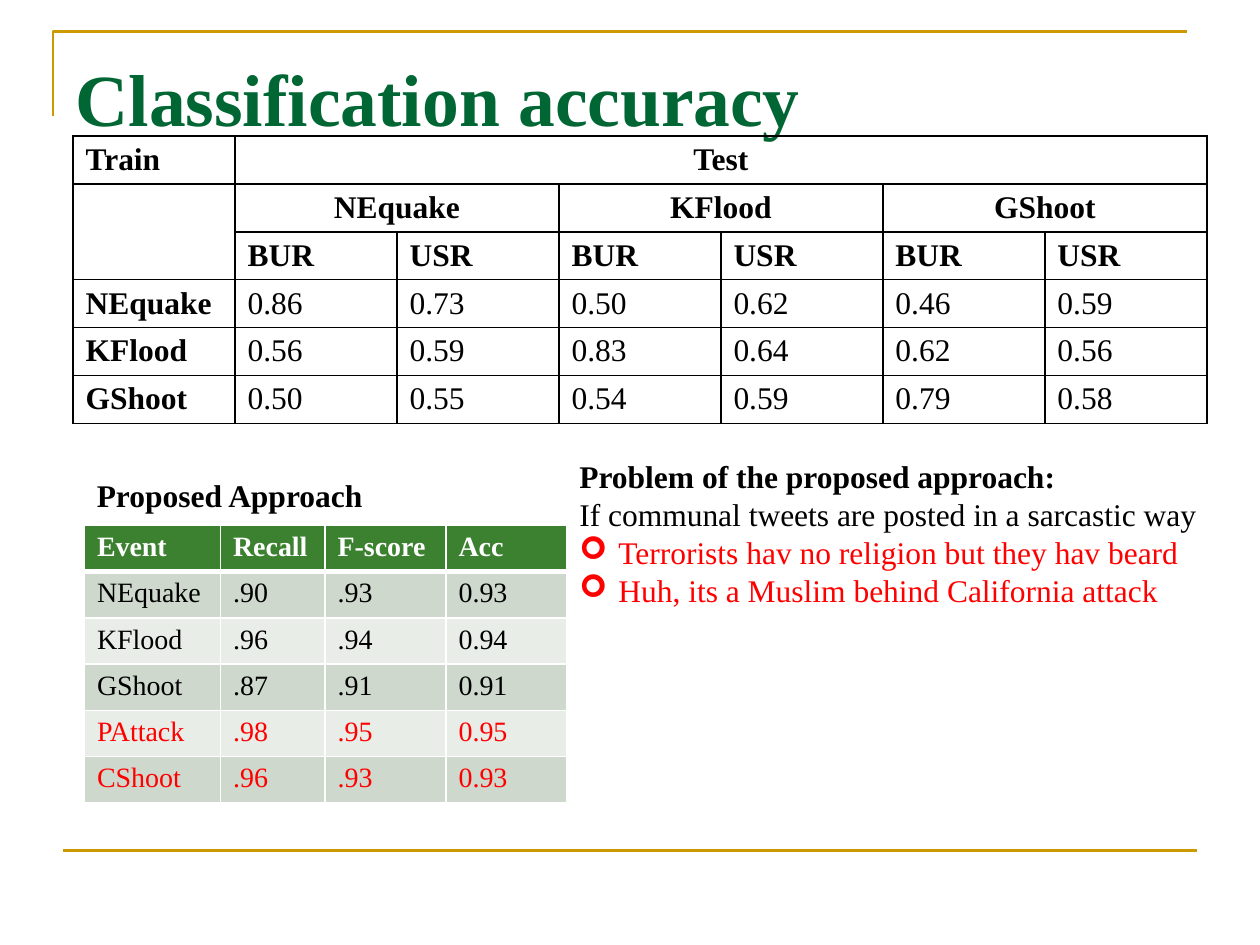
from lxml.etree import SubElement
from pptx import Presentation
from pptx.dml.color import RGBColor
from pptx.enum.shapes import MSO_CONNECTOR as Connector
from pptx.enum.text import MSO_ANCHOR as Anchor, MSO_AUTO_SIZE as AutoSize, PP_ALIGN as Align
from pptx.oxml.ns import qn
from pptx.util import Inches, Pt

FONT = "Times New Roman"
COLORS = {
    "title": "006633", "rule": "CC9900", "text": "000000", "alert": "FF0000",
    "white": "FFFFFF", "header": "3B812F", "odd": "CED8CD", "even": "E8EDE8",
}
TITLE = "Classification accuracy"
EVENTS = ["NEquake", "KFlood", "GShoot"]
METHODS = ["BUR", "USR"]
SCORES = [
    ["0.86", "0.73", "0.50", "0.62", "0.46", "0.59"],
    ["0.56", "0.59", "0.83", "0.64", "0.62", "0.56"],
    ["0.50", "0.55", "0.54", "0.59", "0.79", "0.58"],
]
CAPTION = "Proposed Approach"
RESULTS = [
    ["Event", "Recall", "F-score", "Acc"],
    ["NEquake", ".90", ".93", "0.93"],
    ["KFlood", ".96", ".94", "0.94"],
    ["GShoot", ".87", ".91", "0.91"],
    ["PAttack", ".98", ".95", "0.95"],
    ["CShoot", ".96", ".93", "0.93"],
]
RESULT_WIDTHS = [1.08, 0.83, 0.96, 0.96]
NEW_EVENTS = {"PAttack", "CShoot"}
PROBLEM = [
    ("Problem of the proposed approach:", True, False),
    ("If communal tweets are posted in a sarcastic way", False, False),
    ("Terrorists hav no religion but they hav beard", False, True),
    ("Huh, its a Muslim behind California attack", False, True),
]


def rgb(name):
    return RGBColor.from_string(COLORS[name])


def style(paragraph, size, color="text", bold=False):
    for span in paragraph.runs:
        font = span.font
        font.name, font.size, font.bold = FONT, Pt(size), bold
        font.color.rgb = rgb(color)


def add_bullet(paragraph):
    props = paragraph._p.get_or_add_pPr()
    props.set("marL", str(Inches(0.31)))
    props.set("indent", str(-Inches(0.31)))
    SubElement(props, qn("a:buFont"), typeface="Wingdings")
    SubElement(props, qn("a:buChar"), char="➢")


def set_borders(cell, color, bottom=1):
    props = cell._tc.get_or_add_tcPr()
    widths = [("lnL", 1), ("lnR", 1), ("lnT", 1), ("lnB", bottom)]
    for place, (side, width) in enumerate(widths):
        line = SubElement(props, qn(f"a:{side}"), w=str(Pt(width)))
        fill = SubElement(line, qn("a:solidFill"))
        SubElement(fill, qn("a:srgbClr"), val=COLORS[color])
        props.insert(place, line)


def add_grid(page, left, top, widths, row_height, rows):
    frame = page.shapes.add_table(
        rows, len(widths), Inches(left), Inches(top),
        Inches(sum(widths)), Inches(row_height * rows))
    table = frame.table
    table.horz_banding = False
    for column, width in zip(table.columns, widths):
        column.width = Inches(width)
    return table


def fill_cell(cell, text, size, color="text", bold=False, centered=False):
    paragraph = cell.text_frame.paragraphs[0]
    paragraph.text = text
    if centered:
        paragraph.alignment = Align.CENTER
    style(paragraph, size, color, bold)


def add_accuracy(page):
    span = len(METHODS)
    last = span * len(EVENTS)
    table = add_grid(page, 0.58, 1.08, [9 / (last + 1)] * (last + 1), 0.38, 3 + len(SCORES))
    table.first_row = False
    for cell in table.iter_cells():
        cell.fill.background()
        set_borders(cell, "text")
    table.cell(0, 1).merge(table.cell(0, last))
    table.cell(1, 0).merge(table.cell(2, 0))
    fill_cell(table.cell(0, 0), "Train", 18, bold=True)
    fill_cell(table.cell(0, 1), "Test", 18, bold=True, centered=True)
    for index, event in enumerate(EVENTS):
        first = 1 + index * span
        table.cell(1, first).merge(table.cell(1, first + span - 1))
        fill_cell(table.cell(1, first), event, 18, bold=True, centered=True)
        for offset, method in enumerate(METHODS):
            fill_cell(table.cell(2, first + offset), method, 18, bold=True)
        for column, value in enumerate([event] + SCORES[index]):
            fill_cell(table.cell(3 + index, column), value, 18, bold=column == 0)


def add_results(page):
    table = add_grid(page, 0.67, 4.17, RESULT_WIDTHS, 2.2 / len(RESULTS), len(RESULTS))
    for row, values in enumerate(RESULTS):
        header = row == 0
        fill = "header" if header else "odd" if row % 2 else "even"
        color = "white" if header else "alert" if values[0] in NEW_EVENTS else "text"
        for column, value in enumerate(values):
            cell = table.cell(row, column)
            cell.fill.solid()
            cell.fill.fore_color.rgb = rgb(fill)
            set_borders(cell, "white", 3 if header else 1)
            fill_cell(cell, value, 16, color, header)


def add_text(page, left, top, width, height, lines, wrap):
    box = page.shapes.add_textbox(Inches(left), Inches(top), Inches(width), Inches(height))
    frame = box.text_frame
    frame.word_wrap = wrap
    frame.auto_size = AutoSize.SHAPE_TO_FIT_TEXT
    for index, (text, bold, bulleted) in enumerate(lines):
        paragraph = frame.add_paragraph() if index else frame.paragraphs[0]
        paragraph.text = text
        if bulleted:
            add_bullet(paragraph)
        style(paragraph, 18, "alert" if bulleted else "text", bold)


def add_rules(page):
    builder = page.shapes.build_freeform(Inches(0.42), Inches(0.92))
    builder.add_line_segments(
        [(Inches(0.42), Inches(0.25)), (Inches(9.42), Inches(0.25))], close=False)
    corner = builder.convert_to_shape()
    corner.shadow.inherit = False
    corner.fill.background()
    footer = page.shapes.add_connector(
        Connector.STRAIGHT, Inches(0.5), Inches(6.75), Inches(9.5), Inches(6.75))
    SubElement(footer._element.spPr, qn("a:effectLst"))
    for rule in (corner, footer):
        rule.line.color.rgb = rgb("rule")
        rule.line.width = Pt(1.5)


def add_title(page):
    title = page.shapes.title
    title.left, title.top, title.width, title.height = map(Inches, (0.5, 0.3, 9, 1.03))
    frame = title.text_frame
    frame.text = TITLE
    frame.vertical_anchor = Anchor.TOP
    frame.margin_top = Inches(0.12)
    frame.paragraphs[0].alignment = Align.LEFT
    style(frame.paragraphs[0], 42, "title", True)


def main():
    deck = Presentation()
    deck.slide_width, deck.slide_height = Inches(10), Inches(7.5)
    page = deck.slides.add_slide(deck.slide_layouts[5])
    add_rules(page)
    add_title(page)
    add_accuracy(page)
    add_text(page, 4.5, 3.58, 5.17, 1.31, PROBLEM, True)
    add_results(page)
    add_text(page, 0.67, 3.73, 2.33, 0.4, [(CAPTION, True, False)], False)
    deck.save("out.pptx")


if __name__ == "__main__":
    main()
